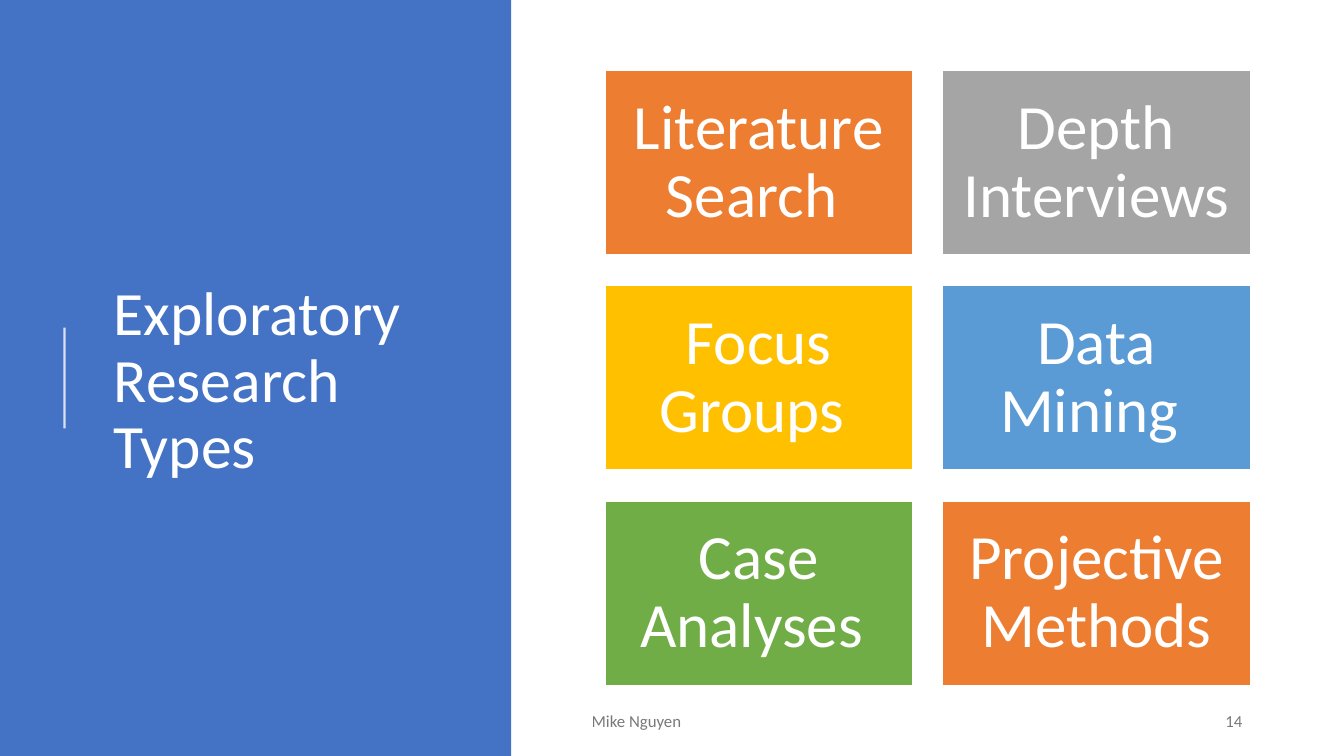
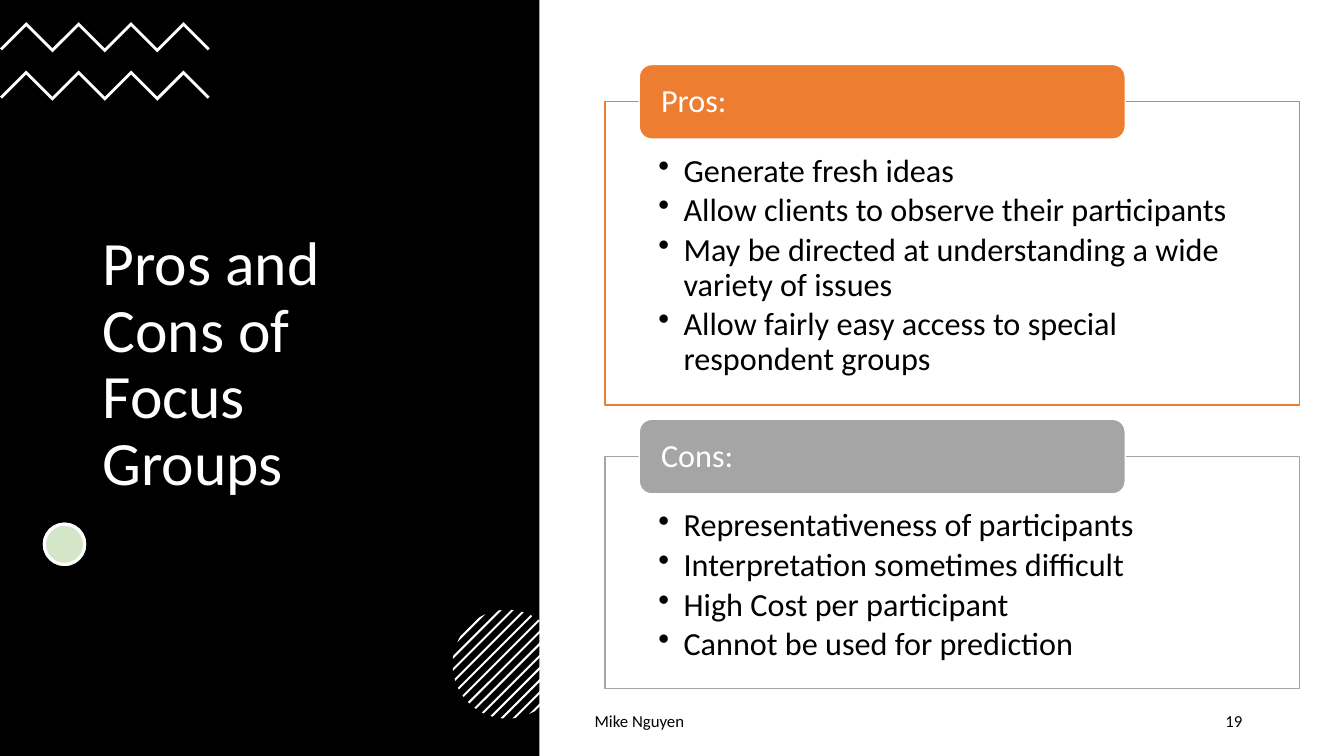
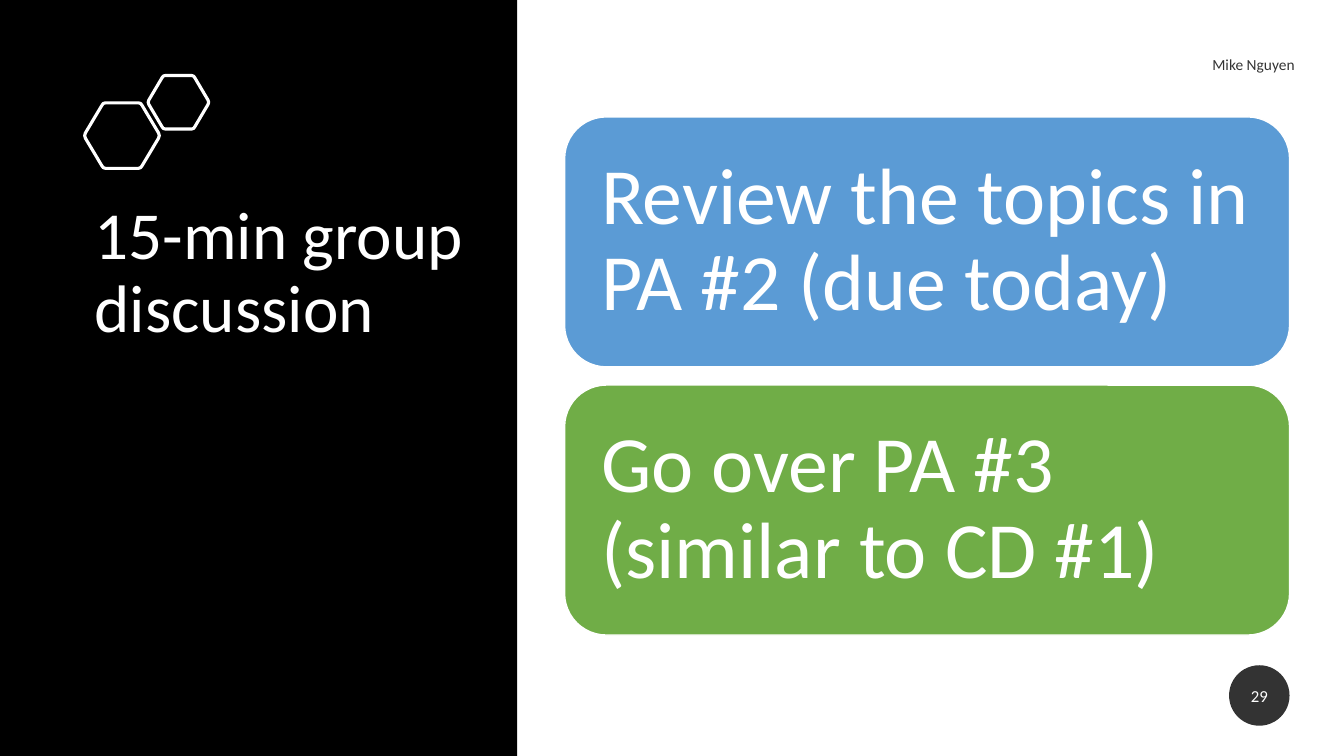
from math import acos, cos, pi, sin

from lxml.etree import SubElement
from pptx import Presentation
from pptx.dml.color import RGBColor
from pptx.enum.shapes import MSO_CONNECTOR, MSO_SHAPE
from pptx.enum.text import MSO_ANCHOR, PP_ALIGN
from pptx.oxml.ns import qn
from pptx.util import Inches, Pt

FONT = "Calibri"
AUTHOR = "Mike Nguyen"
COLORS = {
    "white": "FFFFFF", "black": "000000", "charcoal": "404040", "blue": "4472C4",
    "orange": "ED7D31", "gray": "A5A5A5", "gold": "FFC000", "sky": "5B9BD5",
    "green": "70AD47",
}

TYPES = {
    "band": (5.07, "blue"),
    "title": ("Exploratory Research Types", (1.03, 0.78, 3.69, 6.02), 44, MSO_ANCHOR.MIDDLE),
    "tiles": [
        ("Literature Search ", "orange"), ("Depth Interviews", "gray"),
        ("Focus Groups ", "gold"), ("Data Mining ", "sky"),
        ("Case Analyses ", "green"), ("Projective Methods", "orange"),
    ],
}
FOCUS = {
    "band": (5.35, "black"),
    "title": ("Pros and Cons of Focus Groups", (0.92, 1.31, 3.5, 4.63), 44, MSO_ANCHOR.MIDDLE),
    "panels": [
        ("Pros:", "orange", 1.01, 3.01, [
            "Generate fresh ideas ",
            "Allow clients to observe their participants ",
            "May be directed at understanding a wide variety of issues ",
            "Allow fairly easy access to special respondent groups ",
        ]),
        ("Cons: ", "gray", 4.53, 2.3, [
            "Representativeness of participants ",
            "Interpretation sometimes difficult ",
            "High Cost per participant",
            "Cannot be used for prediction",
        ]),
    ],
}
DISCUSSION = {
    "band": (5.13, "black"),
    "title": ("15-min group discussion", (0.84, 1.95, 3.92, 3.5), 48, MSO_ANCHOR.TOP),
    "cards": [
        ("Review the topics in PA #2 (due today)", "sky"),
        ("Go over PA #3 (similar to CD #1)", "green"),
    ],
    "hexagons": [(0.84, 1.02, 0.74, 0.65), (1.47, 0.75, 0.6, 0.53)],
}

deck = Presentation()
deck.slide_width, deck.slide_height = Inches(13.33), Inches(7.5)


def rgb(name):
    return RGBColor.from_string(COLORS[name])


def fade(element, percent):
    for color in element.iter(qn("a:srgbClr")):
        SubElement(color, qn("a:alpha"), val=str(percent * 1000))


def paint(shape, fill=None, line=None, width=1, opacity=100):
    shape.shadow.inherit = False
    if fill:
        shape.fill.solid()
        shape.fill.fore_color.rgb = rgb(fill)
    else:
        shape.fill.background()
    if opacity < 100:
        fade(shape.element.spPr, opacity)
    if line:
        shape.line.color.rgb = rgb(line)
        shape.line.width = Pt(width)
    else:
        shape.line.fill.background()
    return shape


def add_shape(page, kind, place, fill=None, line=None, width=1, opacity=100):
    shape = page.shapes.add_shape(kind, *map(Inches, place))
    return paint(shape, fill, line, width, opacity)


def add_outline(page, points, fill=None, line=None, width=1):
    corners = [(Inches(x), Inches(y)) for x, y in points]
    builder = page.shapes.build_freeform(*corners[0])
    builder.add_line_segments(corners[1:], close=True)
    return paint(builder.convert_to_shape(), fill, line, width)


def write(box, lines, size, color, align=PP_ALIGN.LEFT, anchor=MSO_ANCHOR.MIDDLE,
          insets=(0.1, 0.05, 0.1, 0.05), spacing=0.9, opacity=100, bullets=False):
    frame = box.text_frame
    frame.word_wrap = True
    frame.vertical_anchor = anchor
    frame.margin_left, frame.margin_top, frame.margin_right, frame.margin_bottom = map(Inches, insets)
    frame.text = "\n".join(lines)
    for para in frame.paragraphs:
        para.alignment = align
        para.line_spacing = spacing
        if bullets:
            para.space_after = Pt(size * 0.15)
            properties = para._p.get_or_add_pPr()
            properties.set("marL", str(Inches(0.25)))
            properties.set("indent", str(-Inches(0.25)))
            SubElement(properties, qn("a:buChar"), char="•")
        for span in para.runs:
            span.font.name = FONT
            span.font.size = Pt(size)
            span.font.color.rgb = rgb(color)
        if opacity < 100:
            fade(para._p, opacity)


def add_text(page, place, text, size, color, **style):
    write(page.shapes.add_textbox(*map(Inches, place)), [text], size, color, **style)


def start_page(content):
    page = deck.slides.add_slide(deck.slide_layouts[6])
    width, color = content["band"]
    add_shape(page, MSO_SHAPE.RECTANGLE, (0, 0, width, 7.5), color)
    text, place, size, anchor = content["title"]
    add_text(page, place, text, size, "white", anchor=anchor)
    return page


def add_footer(page, left, number, color, opacity=100):
    add_text(page, (left, 6.95, 3.14, 0.4), AUTHOR, 12, color, spacing=1, opacity=opacity)
    add_text(page, (9.42, 6.95, 3, 0.4), number, 12, color,
             align=PP_ALIGN.RIGHT, spacing=1, opacity=opacity)


def add_zigzag(page, top):
    step, rise, weight, clip, last = 0.26, 0.26, 0.04, 0.02, 8
    upper = [(i * step, top + (0 if i % 2 else rise)) for i in range(last + 1)]
    lower = [(x, y + weight) for x, y in upper[1:-1]]
    start = (clip, top + rise + clip)
    end = (last * step - clip, top + rise + clip)
    add_outline(page, upper + [end] + lower[::-1] + [start], "white")


def add_striped_circle(page, center_x, center_y, radius):
    gap, half, samples = 0.09, 0.01, 4
    gap = radius * 0.95 / 6
    for i in range(-6, 7):
        first, second = [acos(max(-1, min(1, (i * gap + side) / radius))) for side in (-half, half)]
        arc = [first + (second - first) * k / samples for k in range(samples + 1)]
        angles = [pi / 4 + a for a in arc] + [pi / 4 - a for a in reversed(arc)]
        add_outline(page, [(center_x + radius * cos(a), center_y + radius * sin(a))
                           for a in angles], "white")


def add_hexagon(page, left, top, width, height):
    quarter = [(0.22, -0.5), (0.25, -0.49), (0.27, -0.46), (0.49, -0.04), (0.5, 0)]
    right = quarter + [(x, -y) for x, y in quarter[-2::-1]]
    around = right + [(-x, y) for x, y in reversed(right)]
    add_outline(page, [(left + (0.5 + x) * width, top + (0.5 + y) * height)
                       for x, y in around], line="white", width=2.25)


def build_types():
    page = start_page(TYPES)
    rule = page.shapes.add_connector(MSO_CONNECTOR.STRAIGHT, *map(Inches, (0.64, 4.25, 0.64, 3.25)))
    rule.line.color.rgb = rgb("white")
    rule.line.width = Pt(1.5)
    fade(rule.element.spPr, 80)
    SubElement(rule.element.spPr, qn("a:effectLst"))
    add_footer(page, 5.77, "14", "charcoal", 70)
    for i, (label, color) in enumerate(TYPES["tiles"]):
        row, column = divmod(i, 2)
        place = (6 + column * 3.35, 0.7 + row * 2.135, 3.05, 1.83)
        tile = add_shape(page, MSO_SHAPE.RECTANGLE, place, color, "white")
        write(tile, [label], 45, "white", align=PP_ALIGN.CENTER, insets=(0.19,) * 4)


def build_focus():
    page = start_page(FOCUS)
    for top in (0.22, 0.7):
        add_zigzag(page, top)
    for color, opacity in (("white", 100), ("green", 30)):
        add_shape(page, MSO_SHAPE.OVAL, (0.44, 5.2, 0.4, 0.4), color, "white", 2.25, opacity)
    add_striped_circle(page, 5.03, 6.59, 0.54)
    add_footer(page, 5.8, "19", "black")
    for heading, color, top, height, points in FOCUS["panels"]:
        panel = add_shape(page, MSO_SHAPE.RECTANGLE, (6, top, 6.89, height), "white", color, opacity=90)
        write(panel, points, 23, "black", anchor=MSO_ANCHOR.TOP,
              insets=(0.53, 0.52, 0.53, 0.18), bullets=True)
        tab = add_shape(page, MSO_SHAPE.ROUNDED_RECTANGLE, (6.34, top - 0.37, 4.82, 0.74), color, "white")
        write(tab, [heading], 23, "white", insets=(0.18, 0, 0.18, 0))


def build_discussion():
    page = start_page(DISCUSSION)
    for place in DISCUSSION["hexagons"]:
        add_hexagon(page, *place)
    add_text(page, (7.72, 0.44, 5.22, 0.4), AUTHOR, 11, "black",
             align=PP_ALIGN.RIGHT, spacing=1, opacity=80)
    badge = add_shape(page, MSO_SHAPE.OVAL, (12.19, 6.6, 0.6, 0.6), "black", opacity=80)
    write(badge, ["29"], 12, "white", align=PP_ALIGN.CENTER, insets=(0,) * 4, spacing=1)
    for i, (label, color) in enumerate(DISCUSSION["cards"]):
        card = add_shape(page, MSO_SHAPE.ROUNDED_RECTANGLE, (5.6, 1.16 + i * 2.66, 7.19, 2.48), color, "white")
        write(card, [label], 57, "white", insets=(0.24,) * 4)


build_types()
build_focus()
build_discussion()
deck.save("out.pptx")
